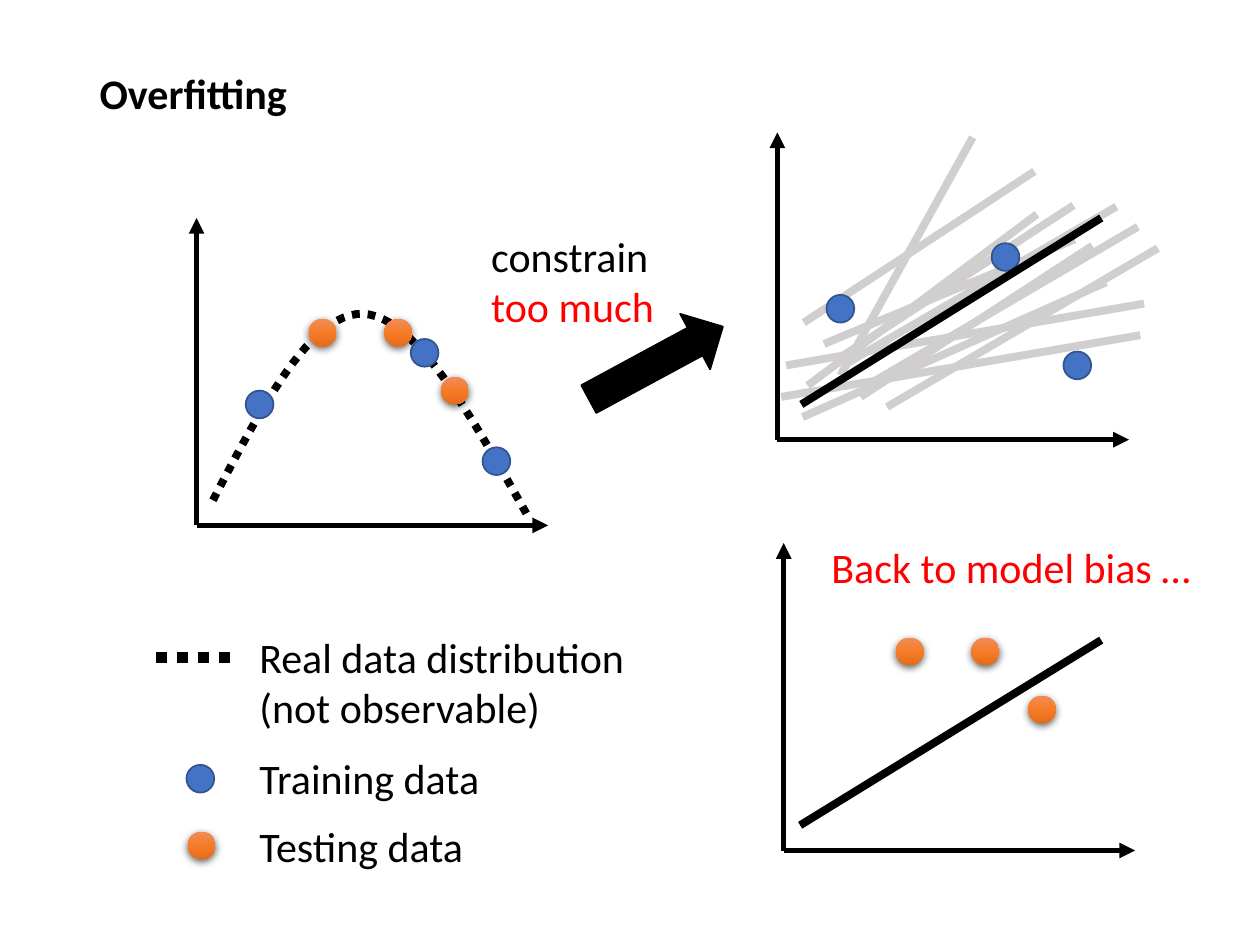
from copy import deepcopy

from pptx import Presentation
from pptx.dml.color import RGBColor
from pptx.enum.dml import MSO_LINE
from pptx.enum.shapes import MSO_CONNECTOR, MSO_SHAPE
from pptx.enum.text import MSO_ANCHOR, PP_ALIGN
from pptx.oxml.ns import qn
from pptx.oxml.xmlchemy import OxmlElement
from pptx.util import Inches, Pt

COLORS = {
    "black": "000000", "red": "FF0000", "grey": "D0CECE",
    "blue": "4472C4", "blue_edge": "325491",
    "orange_top": "F18C57", "orange_mid": "F67B28", "orange_end": "E56C19",
}
FONT = "Calibri"
DOT = 0.22
AXIS_W, AXIS_H = 2.79, 2.44
TRAINING = [(0.39, 1.37), (1.7, 0.96), (2.27, 1.82)]
TESTING = [(1.94, 1.26), (1.49, 0.8), (0.89, 0.8)]
CURVE = [
    ((0.13, 2.24), (0.52, 1.49), (0.91, 0.75), (1.32, 0.76)),
    ((1.32, 0.76), (1.74, 0.78), (2.18, 1.57), (2.62, 2.35)),
]
CANDIDATES = [
    (0.03, 2.1, 2.88, 1.61), (0.07, 1.85, 2.91, 1.36), (0.2, 2.26, 2.61, 1.19),
    (0.24, 2.01, 2.06, 0.65), (0.5, 1.93, 1.55, 0.04), (0.66, 2.1, 2.5, 0.9),
    (0.51, 1.78, 2.35, 0.58), (0.21, 1.51, 2.04, 0.31), (0.37, 1.68, 2.36, 0.85),
    (0.54, 1.84, 2.69, 0.59), (0.71, 2.01, 2.86, 0.75), (0.87, 2.18, 3.02, 0.92),
]


def rgb(name):
    """Return the named colour."""
    return RGBColor.from_string(COLORS[name])


def add_child(parent, tag, **attrs):
    """Append an XML element with attributes and return it."""
    child = OxmlElement(tag)
    for key, value in attrs.items():
        child.set(key, str(value))
    parent.append(child)
    return child


def add_line(s, x1, y1, x2, y2, color="black", width=4.5, dash=None, arrow=False):
    """Draw a straight line, dashed or with an arrowhead on request."""
    c = s.shapes.add_connector(
        MSO_CONNECTOR.STRAIGHT, Inches(x1), Inches(y1), Inches(x2), Inches(y2))
    c.line.color.rgb = rgb(color)
    c.line.width = Pt(width)
    if dash:
        c.line.dash_style = dash
    if arrow:
        add_child(c.line._get_or_add_ln(), "a:tailEnd", type="triangle")
    add_child(c._element.spPr, "a:effectLst")


def add_dot(s, x, y):
    """Add an ellipse of the common dot size without a shadow."""
    sp = s.shapes.add_shape(
        MSO_SHAPE.OVAL, Inches(x), Inches(y), Inches(DOT), Inches(DOT))
    sp.shadow.inherit = False
    return sp


def add_training_dot(s, x, y):
    """Add a blue outlined dot."""
    sp = add_dot(s, x, y)
    sp.fill.solid()
    sp.fill.fore_color.rgb = rgb("blue")
    sp.line.color.rgb = rgb("blue_edge")
    sp.line.width = Pt(1)


def add_testing_dot(s, x, y):
    """Add an orange gradient dot with a soft shadow below it."""
    sp = add_dot(s, x, y)
    sp.line.fill.background()
    sp.fill.gradient()
    sp.fill.gradient_angle = 270
    spPr = sp._element.spPr
    stops = spPr.find(qn("a:gradFill")).find(qn("a:gsLst"))
    stops.append(deepcopy(stops[0]))
    names = ("orange_top", "orange_mid", "orange_end")
    for stop, position, name in zip(sp.fill.gradient_stops, (0, 0.5, 1), names):
        stop.position = position
        stop.color.rgb = rgb(name)
    shadow = add_child(
        spPr.find(qn("a:effectLst")), "a:outerShdw", blurRad=Pt(4.5), dist=Pt(1.5),
        dir=5400000, algn="ctr", rotWithShape=0)
    shade = add_child(shadow, "a:srgbClr", val=COLORS["black"])
    add_child(shade, "a:alpha", val=63000)


def add_dots(s, add, points, x, y):
    """Place one dot of a kind at each point, offset by x and y."""
    for dx, dy in points:
        add(s, x + dx, y + dy)


def add_text(s, x, y, w, h, *runs):
    """Add a wrapped text box from (text, colour) runs."""
    tf = s.shapes.add_textbox(Inches(x), Inches(y), Inches(w), Inches(h)).text_frame
    tf.word_wrap = True
    p = tf.paragraphs[0]
    p.font.size = Pt(24)
    p.font.name = FONT
    for text, color in runs:
        r = p.add_run()
        r.text = text
        r.font.color.rgb = rgb(color)


def add_title(s, x, y, w, h):
    """Place and format the title placeholder."""
    title = s.shapes.title
    title.left, title.top, title.width, title.height = map(Inches, (x, y, w, h))
    tf = title.text_frame
    tf.text = "Overfitting"
    tf.vertical_anchor = MSO_ANCHOR.MIDDLE
    p = tf.paragraphs[0]
    p.alignment = PP_ALIGN.LEFT
    p.line_spacing = 0.9
    p.font.size = Pt(24)
    p.font.name = FONT
    p.font.bold = True
    p.font.color.rgb = rgb("black")


def add_axes(s, x, y):
    """Draw both axes of a plot whose top left corner is at x, y."""
    base = y + AXIS_H
    add_line(s, x, base, x + AXIS_W, base, width=3, arrow=True)
    add_line(s, x, base, x, y, width=3, arrow=True)


def add_curve(s, x, y, steps=24):
    """Draw the dotted curve by sampling its cubic segments."""
    points = []
    for segment in CURVE:
        for i in range(steps + 1):
            t = i / steps
            weights = ((1 - t) ** 3, 3 * t * (1 - t) ** 2, 3 * t * t * (1 - t), t ** 3)
            px, py = (sum(k * v for k, v in zip(weights, axis)) for axis in zip(*segment))
            points.append((Inches(x + px), Inches(y + py)))
    builder = s.shapes.build_freeform(*points[0])
    builder.add_line_segments(points[1:], close=False)
    sp = builder.convert_to_shape()
    sp.shadow.inherit = False
    sp.fill.background()
    sp.line.color.rgb = rgb("black")
    sp.line.width = Pt(4.5)
    sp.line.dash_style = MSO_LINE.ROUND_DOT


def add_data_plot(s, x, y):
    """Draw the real distribution with training and testing data."""
    add_axes(s, x, y)
    add_curve(s, x, y)
    add_dots(s, add_training_dot, TRAINING, x, y)
    add_dots(s, add_testing_dot, TESTING, x, y)


def add_model_plot(s, x, y):
    """Draw the candidate lines, the training data and the chosen line."""
    for x1, y1, x2, y2 in CANDIDATES:
        add_line(s, x + x1, y + y1, x + x2, y + y2, "grey")
    add_axes(s, x, y)
    add_dots(s, add_training_dot, TRAINING, x, y - 0.08)
    add_line(s, x + 0.19, y + 2.16, x + 2.57, y + 0.68)


def add_bias_plot(s, x, y):
    """Draw the chosen line against the testing data."""
    add_axes(s, x, y)
    add_dots(s, add_testing_dot, TESTING, x, y - 0.05)
    add_line(s, x + 0.13, y + 2.24, x + 2.52, y + 0.77)
    add_text(s, x + 0.28, y - 0.06, 3.18, 0.5, ("Back to model bias …", "red"))


def add_legend(s, x, y):
    """Add the three legend keys with their labels."""
    add_line(s, x, y + 0.26, x + 0.65, y + 0.26, width=6, dash=MSO_LINE.ROUND_DOT)
    add_training_dot(s, x + 0.24, y + 1.11)
    add_testing_dot(s, x + 0.25, y + 1.64)
    labels = [("Real data distribution (not observable)", 0, 0.91),
              ("Training data", 0.96, 0.5), ("Testing data", 1.5, 0.5)]
    for label, dy, h in labels:
        add_text(s, x + 0.72, y + dy, 3.11, h, (label, "black"))


def add_constraint(s, x, y):
    """Add the constraint label and its block arrow."""
    add_text(s, x, y, 1.86, 0.91, ("constrain ", "black"), ("too much", "red"))
    sp = s.shapes.add_shape(MSO_SHAPE.RIGHT_ARROW, Inches(x + 0.8), Inches(y + 0.85),
                            Inches(1.21), Inches(0.5))
    sp.rotation = 331.6
    sp.shadow.inherit = False
    sp.fill.solid()
    sp.fill.fore_color.rgb = sp.line.color.rgb = rgb("black")
    sp.line.width = Pt(1)


def main():
    """Build the slide and save it."""
    prs = Presentation()
    prs.slide_width, prs.slide_height = Inches(10), Inches(7.5)
    s = prs.slides.add_slide(prs.slide_layouts[5])
    add_title(s, 0.69, 0.4, 8.62, 0.72)
    add_data_plot(s, 1.56, 1.73)
    add_model_plot(s, 6.17, 1.05)
    add_bias_plot(s, 6.22, 4.31)
    add_legend(s, 1.24, 4.96)
    add_constraint(s, 3.8, 1.78)
    prs.save("out.pptx")


if __name__ == "__main__":
    main()
